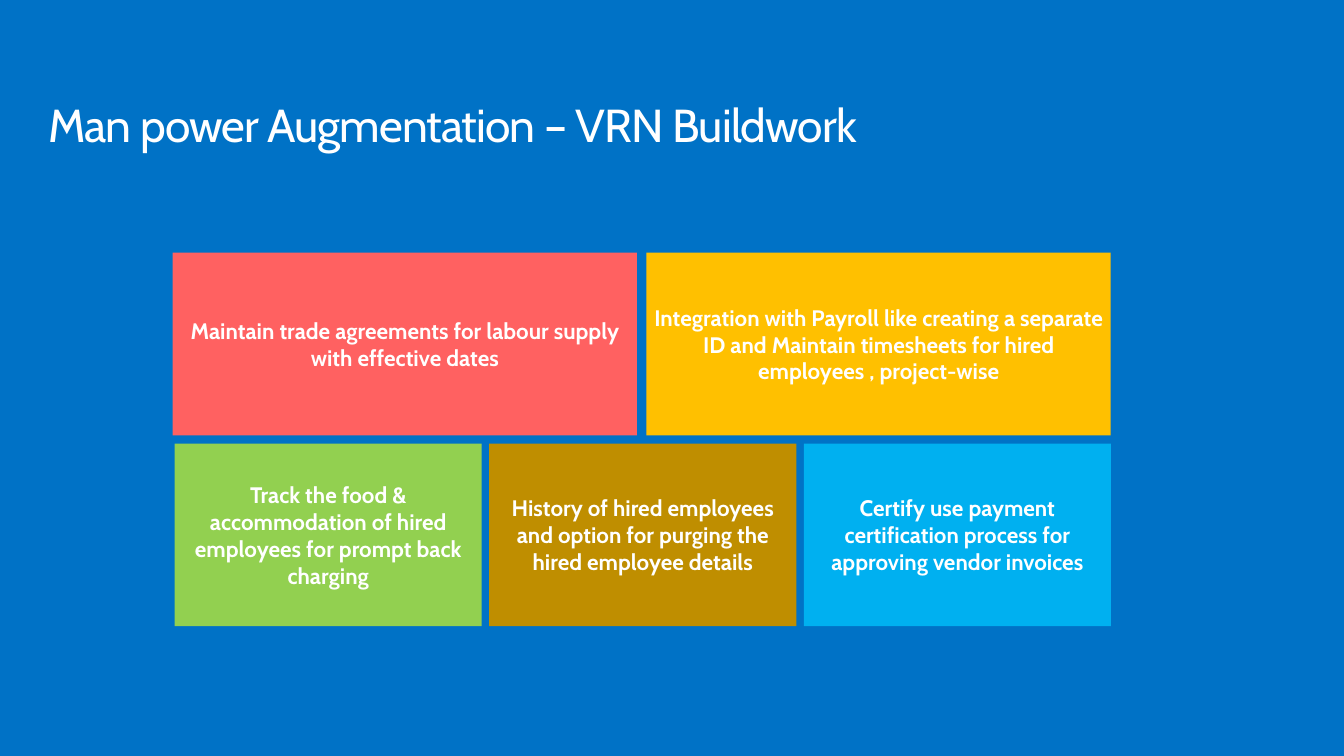
from pptx import Presentation
from pptx.dml.color import RGBColor
from pptx.enum.shapes import MSO_SHAPE
from pptx.enum.text import MSO_ANCHOR, MSO_AUTO_SIZE, PP_ALIGN
from pptx.util import Pt

FONT = "Cabin"
COLORS = {
    "background": "0072C6",
    "text": "FFFFFF",
    "red": "FF6161",
    "yellow": "FFC000",
    "green": "92D050",
    "brown": "BF8E00",
    "blue": "00B0F0",
}
TILE_HEIGHT = 195.8

# Each row: left, top, tile width, distance between left edges, tiles
ROWS = [
    (185, 270.7, 497.5, 507.6, [
        ("red", "Maintain trade agreements for labour supply with effective dates"),
        ("yellow", "Integration with Payroll like creating a separate ID and "
                   "Maintain timesheets for hired employees , project-wise"),
    ]),
    (187.2, 475.2, 329, 337, [
        ("green", "Track the food & accommodation of hired employees for prompt back charging"),
        ("brown", "History of hired employees and option for purging the hired employee details"),
        ("blue", "Certify use payment certification process for approving vendor invoices"),
    ]),
]


def color(name):
    return RGBColor.from_string(COLORS[name])


def set_font(p, size, bold):
    p.font.name = FONT
    p.font.size = Pt(size)
    p.font.bold = bold
    p.font.color.rgb = color("text")


prs = Presentation()
prs.slide_width, prs.slide_height = Pt(1440), Pt(810)
s = prs.slides.add_slide(prs.slide_layouts[5])
s.background.fill.solid()
s.background.fill.fore_color.rgb = color("background")

# Title
title = s.shapes.title
title.left, title.top, title.width, title.height = Pt(52), Pt(109.5), Pt(889), Pt(54)
tf = title.text_frame
tf.margin_left = tf.margin_top = tf.margin_right = tf.margin_bottom = 0
tf.vertical_anchor = MSO_ANCHOR.TOP
tf.word_wrap = True
tf.auto_size = MSO_AUTO_SIZE.SHAPE_TO_FIT_TEXT
p = tf.paragraphs[0]
p.alignment = PP_ALIGN.LEFT
p.line_spacing = 0.9
r = p.add_run()
r.text = "Man power Augmentation – VRN Buildwork"
r._r.get_or_add_rPr().set("spc", "-100")
set_font(p, 49.5, False)

# Tiles
for left, top, width, pitch, tiles in ROWS:
    for i, (fill, text) in enumerate(tiles):
        sp = s.shapes.add_shape(MSO_SHAPE.RECTANGLE, Pt(left + i * pitch), Pt(top),
                                Pt(width), Pt(TILE_HEIGHT))
        sp.shadow.inherit = False
        sp.fill.solid()
        sp.fill.fore_color.rgb = color(fill)
        sp.line.fill.background()
        tf = sp.text_frame
        tf.word_wrap = True
        tf.vertical_anchor = MSO_ANCHOR.MIDDLE
        p = tf.paragraphs[0]
        p.text = text
        p.alignment = PP_ALIGN.CENTER
        set_font(p, 24, True)

prs.save("out.pptx")
